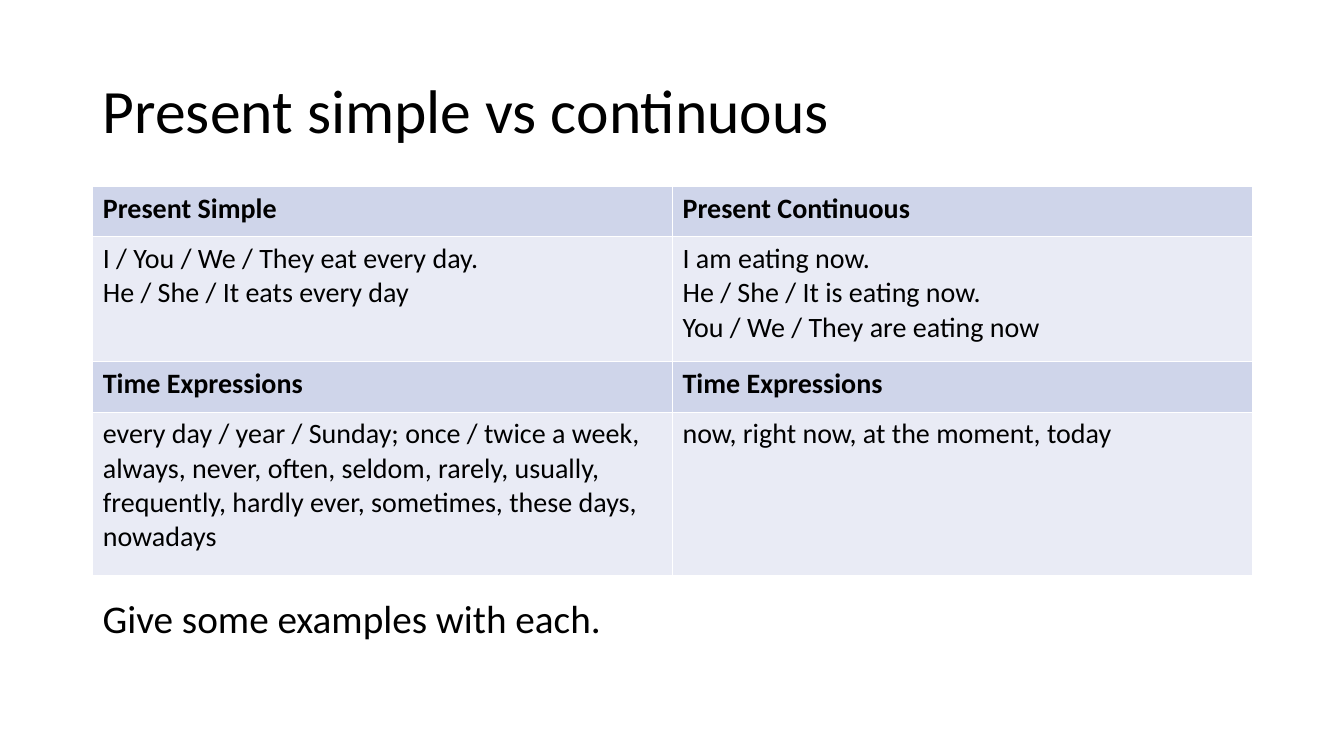
from dataclasses import dataclass

import pptx
import pptx.dml.color
import pptx.enum.text
import pptx.oxml
import pptx.oxml.ns
import pptx.util
from pptx.util import Inches

BLACK = pptx.dml.color.RGBColor(0x00, 0x00, 0x00)
HEADING_FILL = pptx.dml.color.RGBColor(0xCF, 0xD5, 0xEA)
BODY_FILL = pptx.dml.color.RGBColor(0xE9, 0xEB, 0xF5)
BORDER = pptx.dml.color.RGBColor(0xFF, 0xFF, 0xFF)

LEFT, WIDTH = Inches(0.92), Inches(11.5)


@dataclass(frozen=True)
class Row:
    height: float
    heading: bool
    cells: tuple[str, str]


ROWS = [
    Row(0.5, True, ("Present Simple", "Present Continuous")),
    Row(1.24, False, (
        "I / You / We / They eat every day.\nHe / She / It eats every day",
        "I am eating now.\nHe / She / It is eating now.\nYou / We / They are eating now",
    )),
    Row(0.5, True, ("Time Expressions", "Time Expressions")),
    Row(1.62, False, (
        "every day / year / Sunday; once / twice a week, always, never, often, "
        "seldom, rarely, usually, frequently, hardly ever, sometimes, these days, nowadays",
        "now, right now, at the moment, today",
    )),
]


def write(tf, text: str, size: float, bold: bool = False, **spacing) -> None:
    """Fill a text frame, one paragraph per line of text."""
    tf.word_wrap = True
    tf.text = text
    font = {"name": "Calibri", "size": pptx.util.Pt(size), "bold": bold}
    for p in tf.paragraphs:
        p.alignment = pptx.enum.text.PP_ALIGN.LEFT
        for key, value in spacing.items():
            setattr(p, key, value)
        for r in p.runs:
            for key, value in font.items():
                setattr(r.font, key, value)
            r.font.color.rgb = BLACK


def add_borders(cell) -> None:
    tc_pr = cell._tc.get_or_add_tcPr()
    for side in ("lnL", "lnR", "lnT", "lnB"):
        tc_pr.append(pptx.oxml.parse_xml(
            f'<a:{side} {pptx.oxml.ns.nsdecls("a")} w="{pptx.util.Pt(1)}">'
            f'<a:solidFill><a:srgbClr val="{BORDER}"/></a:solidFill></a:{side}>'
        ))


def add_title(s) -> None:
    sp = s.shapes.title
    sp.left, sp.top, sp.width, sp.height = LEFT, Inches(0.4), WIDTH, Inches(1.45)
    sp.text_frame.vertical_anchor = pptx.enum.text.MSO_ANCHOR.MIDDLE
    write(sp.text_frame, "Present simple vs continuous", 44, line_spacing=0.9)


def add_tense_table(s) -> None:
    height = Inches(sum(row.height for row in ROWS))
    table = s.shapes.add_table(len(ROWS), 2, LEFT, Inches(1.85), WIDTH, height).table
    table.first_row = table.horz_banding = False
    for i, row in enumerate(ROWS):
        table.rows[i].height = Inches(row.height)
        for cell, text in zip(table.rows[i].cells, row.cells):
            add_borders(cell)
            cell.fill.solid()
            cell.fill.fore_color.rgb = HEADING_FILL if row.heading else BODY_FILL
            write(cell.text_frame, text, 20, row.heading)


def add_task(s) -> None:
    sp = s.shapes.add_textbox(LEFT, Inches(5.9), WIDTH, Inches(0.76))
    write(sp.text_frame, "Give some examples with each.", 28,
          line_spacing=0.9, space_before=pptx.util.Pt(10))


def main() -> None:
    prs = pptx.Presentation()
    prs.slide_width, prs.slide_height = Inches(13.33), Inches(7.5)
    s = prs.slides.add_slide(prs.slide_layouts.get_by_name("Title Only"))
    add_title(s)
    add_task(s)
    add_tense_table(s)
    prs.save("out.pptx")


if __name__ == "__main__":
    main()
